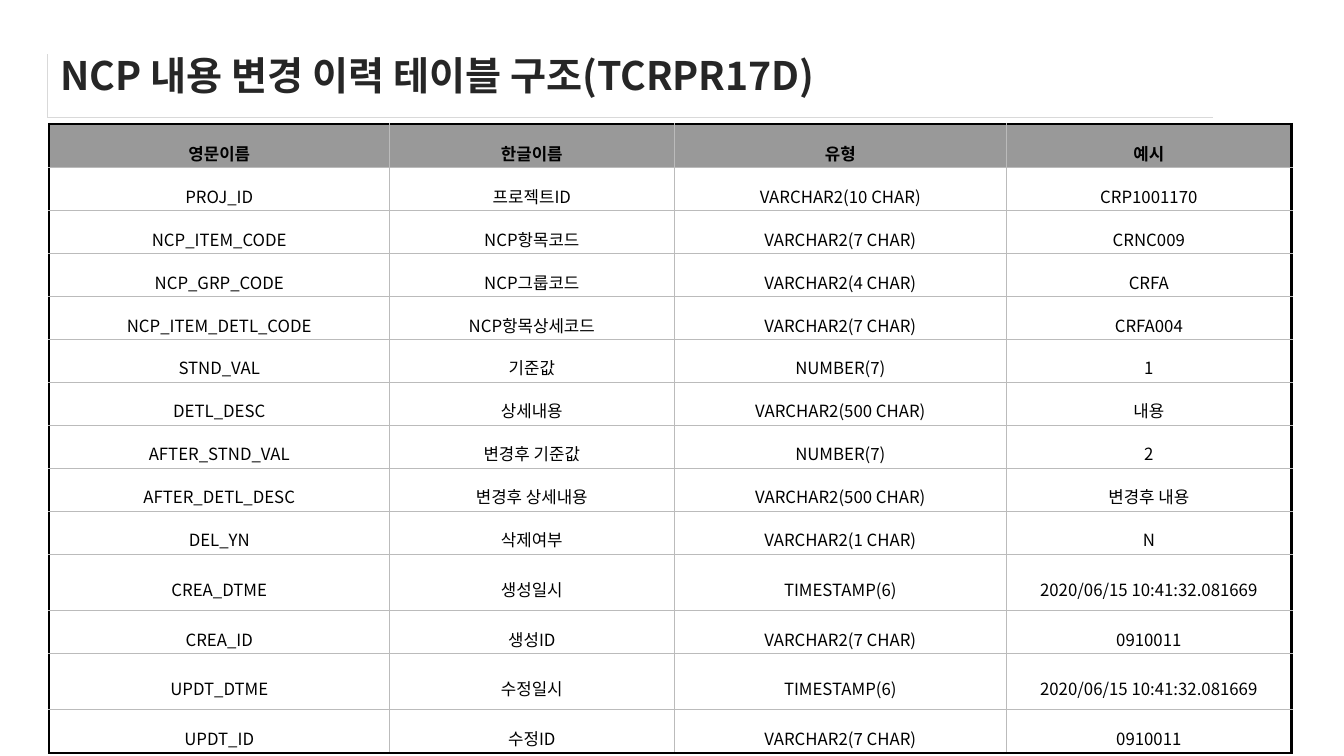
from lxml.etree import SubElement as Sub
from pptx import Presentation
from pptx.dml.color import RGBColor
from pptx.enum.text import MSO_ANCHOR as Anchor, MSO_AUTO_SIZE as Auto, PP_ALIGN as Align
from pptx.oxml.ns import qn
from pptx.util import Inches, Pt

BLACK = RGBColor(0, 0, 0)
WHITE = RGBColor(0xFF, 0xFF, 0xFF)
DARK = RGBColor(0x26, 0x26, 0x26)
GRAY = RGBColor(0x99, 0x99, 0x99)
LINE = RGBColor(0xBB, 0xBB, 0xBB)
PALE = RGBColor(0xD9, 0xD9, 0xD9)
FONT = "Noto Sans CJK KR"
THIN, THICK, FAINT = (LINE, 0.28), (BLACK, 1.7), (PALE, 0.25)

ROWS = [
    ("영문이름", "한글이름", "유형", "예시"),
    ("PROJ_ID", "프로젝트ID", "VARCHAR2(10 CHAR)", "CRP1001170"),
    ("NCP_ITEM_CODE", "NCP항목코드", "VARCHAR2(7 CHAR)", "CRNC009"),
    ("NCP_GRP_CODE", "NCP그룹코드", "VARCHAR2(4 CHAR)", "CRFA"),
    ("NCP_ITEM_DETL_CODE", "NCP항목상세코드", "VARCHAR2(7 CHAR)", "CRFA004"),
    ("STND_VAL", "기준값", "NUMBER(7)", "1"),
    ("DETL_DESC", "상세내용", "VARCHAR2(500 CHAR)", "내용"),
    ("AFTER_STND_VAL", "변경후 기준값", "NUMBER(7)", "2"),
    ("AFTER_DETL_DESC", "변경후 상세내용", "VARCHAR2(500 CHAR)", "변경후 내용"),
    ("DEL_YN", "삭제여부", "VARCHAR2(1 CHAR)", "N"),
    ("CREA_DTME", "생성일시", "TIMESTAMP(6)", "2020/06/15 10:41:32.081669"),
    ("CREA_ID", "생성ID", "VARCHAR2(7 CHAR)", "0910011"),
    ("UPDT_DTME", "수정일시", "TIMESTAMP(6)", "2020/06/15 10:41:32.081669"),
    ("UPDT_ID", "수정ID", "VARCHAR2(7 CHAR)", "0910011"),
]


def write(frame, text, size=12, color=BLACK, bold=False, align=Align.CENTER, space=1.0):
    """Put one formatted paragraph in a text frame."""
    par = frame.paragraphs[0]
    par.alignment, par.line_spacing = align, space
    run = par.add_run()
    run.text = text
    font = run.font
    font.name, font.size, font.bold = FONT, Pt(size), bold
    font.color.rgb = color
    Sub(run._r.get_or_add_rPr(), qn("a:ea"), typeface=FONT)


class Page:
    """Hold the table style and the current slide."""

    def __init__(self, deck):
        """Add a slide that has only a title."""
        self.slide = deck.slides.add_slide(deck.slide_layouts[5])
        self.pad = Inches(0.06), Inches(0.02)

    def title(self, text, *box):
        """Place and fill the title."""
        shape = self.slide.shapes.title
        shape.left, shape.top, shape.width, shape.height = map(Inches, box)
        frame = shape.text_frame
        frame.auto_size, frame.vertical_anchor = Auto.NONE, Anchor.MIDDLE
        write(frame, text, size=28, color=DARK, bold=True, align=Align.LEFT)

    def grid(self, left, top, wide, high):
        """Add a plain table with the given column widths and row heights."""
        table = self.slide.shapes.add_table(
            len(high), len(wide), Inches(left), Inches(top),
            Inches(sum(wide)), Inches(sum(high))).table
        table.first_row = table.horz_banding = False
        for col, size in zip(table.columns, wide):
            col.width = Inches(size)
        for row, size in zip(table.rows, high):
            row.height = Inches(size)
        return table

    def edge(self, cell, **sides):
        """Draw the four borders of a cell, with none where no side is given."""
        props = cell._tc.get_or_add_tcPr()
        for side in "LRTB":
            color, size = sides.get(side, (None, 0))
            line = Sub(props, qn("a:ln" + side), w=str(Pt(size)))
            if color is None:
                Sub(line, qn("a:noFill"))
            else:
                fill = Sub(line, qn("a:solidFill"))
                Sub(fill, qn("a:srgbClr"), val=str(color))

    def rule(self, left, top, width, height):
        """Add the faint lines beside and under the title."""
        cell = self.grid(left, top, [width], [height]).cell(0, 0)
        self.edge(cell, L=FAINT, B=FAINT)
        cell.fill.background()

    def table(self, rows, left, top, wide, high):
        """Add the filled table with a heavy outer frame."""
        table = self.grid(left, top, wide, high)
        for r, row in enumerate(rows):
            for c, text in enumerate(row):
                cell = table.cell(r, c)
                self.edge(cell,
                          L=THIN if c else THICK,
                          R=THIN if c < len(wide) - 1 else THICK,
                          T=THIN if r else THICK,
                          B=THIN if r < len(rows) - 1 else THICK)
                cell.fill.solid()
                cell.fill.fore_color.rgb = WHITE if r else GRAY
                cell.margin_left = cell.margin_right = self.pad[0]
                cell.margin_top = cell.margin_bottom = self.pad[1]
                cell.vertical_anchor = Anchor.MIDDLE
                write(cell.text_frame, text, bold=r == 0, space=1.6)


def main():
    """Build and save the slide."""
    deck = Presentation()
    deck.slide_width, deck.slide_height = Inches(13.33), Inches(7.5)
    page = Page(deck)
    page.rule(0.47, 0.54, 11.56, 0.62)
    page.title("NCP 내용 변경 이력 테이블 구조(TCRPR17D)", 0.5, 0.41, 12.49, 0.67)
    high = [0.56 if row[2] == "TIMESTAMP(6)" else 0.39 for row in ROWS]
    page.table(ROWS, 0.49, 1.23, [3.37, 2.83, 3.29, 2.83], high)
    deck.save("out.pptx")


if __name__ == "__main__":
    main()
